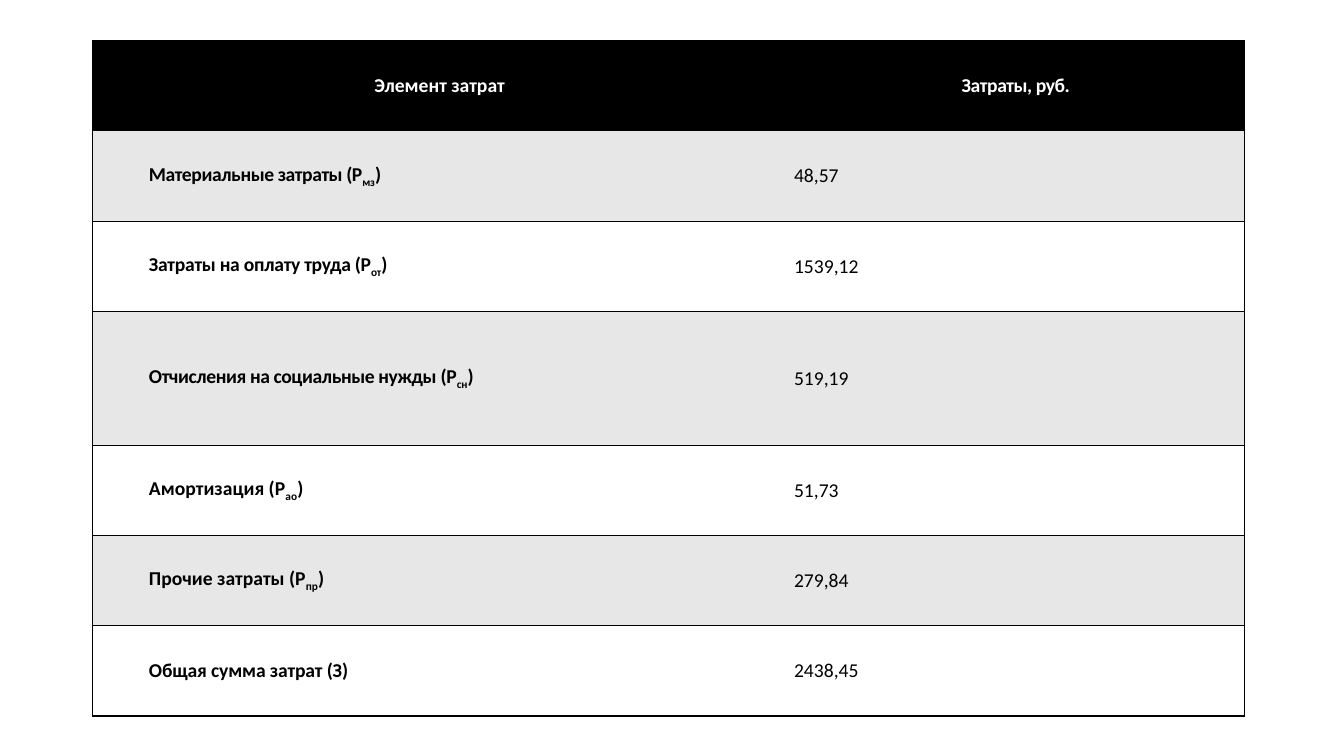
from lxml.etree import SubElement
from pptx import Presentation
from pptx.dml.color import RGBColor
from pptx.enum.text import MSO_ANCHOR, PP_ALIGN
from pptx.oxml import parse_xml
from pptx.oxml.ns import nsdecls, qn
from pptx.util import Pt

BLACK, WHITE, GREY = "000000", "FFFFFF", "E7E7E7"
HEADERS = [[("Элемент затрат", 0, 0)], [("Затраты, руб.", -0.3, 0)]]


def element(name, index, spacing, last_spacing=None):
    """Runs (text, spacing, baseline) of a cost name with its subscript."""
    tail = spacing if last_spacing is None else last_spacing
    return [(name, spacing, 0), ("(Р", tail, 0), (index, tail, -25), (")", tail, 0)]


COSTS = [
    (element("Материальные затраты ", "мз", -0.3), "48,57"),
    (element("Затраты на оплату труда ", "от", -0.2), "1539,12"),
    (element("Отчисления на социальные нужды ", "сн", -0.3, -0.2), "519,19"),
    (element("Амортизация ", "ао", 0), "51,73"),
    (element("Прочие затраты ", "пр", 0), "279,84"),
    ([("Общая сумма затрат (З)", -0.1, 0)], "2438,45"),
]
COL_WIDTHS = [460.8, 362.2]
ROW_HEIGHT, TALL_HEIGHT, TALL_ROW = 64.5, 95.5, 3


def rgb(color):
    return RGBColor.from_string(color)


def set_borders(cell, drawn):
    """Draw the sides named in drawn and clear the others."""
    tc_pr = cell._tc.get_or_add_tcPr()
    for i, side in enumerate("LRTB"):
        paint = (f'<a:solidFill><a:srgbClr val="{BLACK}"/></a:solidFill>'
                 if side in drawn else "<a:noFill/>")
        tc_pr.insert(i, parse_xml(
            f'<a:ln{side} {nsdecls("a")} w="{Pt(1)}">{paint}</a:ln{side}>'))


def set_indent(p):
    p_pr = p._p.get_or_add_pPr()
    p_pr.set("marL", "0")
    p_pr.set("indent", str(Pt(35.4)))
    tabs = SubElement(p_pr, qn("a:tabLst"))
    for pos in (35.4, 60.5):
        SubElement(tabs, qn("a:tab"), pos=str(Pt(pos)), algn="l")


def fill_cell(cell, runs, fill, color, bold, align, borders):
    cell.fill.solid()
    cell.fill.fore_color.rgb = rgb(fill)
    set_borders(cell, borders)
    cell.vertical_anchor = MSO_ANCHOR.MIDDLE
    cell.margin_left = cell.margin_right = Pt(5)
    cell.margin_top = cell.margin_bottom = 0
    p = cell.text_frame.paragraphs[0]
    p.alignment = align
    set_indent(p)
    for text, spacing, baseline in runs:
        r = p.add_run()
        r.text = text
        r.font.name, r.font.size, r.font.bold = "Calibri", Pt(14), bold
        r.font.color.rgb = rgb(color)
        r_pr = r._r.get_or_add_rPr()
        r_pr.set("spc", str(round(spacing * 100)))
        r_pr.set("baseline", str(baseline * 1000))


def cost_table(s, left, top):
    rows = [HEADERS] + [[name, [(value, 0, 0)]] for name, value in COSTS]
    heights = [TALL_HEIGHT if i == TALL_ROW else ROW_HEIGHT for i in range(len(rows))]
    table = s.shapes.add_table(len(rows), len(COL_WIDTHS), Pt(left), Pt(top),
                               Pt(sum(COL_WIDTHS)), Pt(sum(heights))).table
    table.first_row = table.horz_banding = False
    for column, width in zip(table.columns, COL_WIDTHS):
        column.width = Pt(width)
    for i, cells in enumerate(rows):
        table.rows[i].height = Pt(heights[i])
        header = i == 0
        fill = BLACK if header else (GREY if i % 2 else WHITE)
        for j, runs in enumerate(cells):
            fill_cell(table.cell(i, j), runs, fill,
                      color=WHITE if header else BLACK,
                      bold=header or j == 0,
                      align=PP_ALIGN.CENTER if header else PP_ALIGN.LEFT,
                      borders="RTB" if j else "LTB")


def main():
    prs = Presentation()
    prs.slide_width, prs.slide_height = Pt(960), Pt(540)
    s = prs.slides.add_slide(prs.slide_layouts[6])
    cost_table(s, 66, 29)
    prs.save("out.pptx")


if __name__ == "__main__":
    main()
